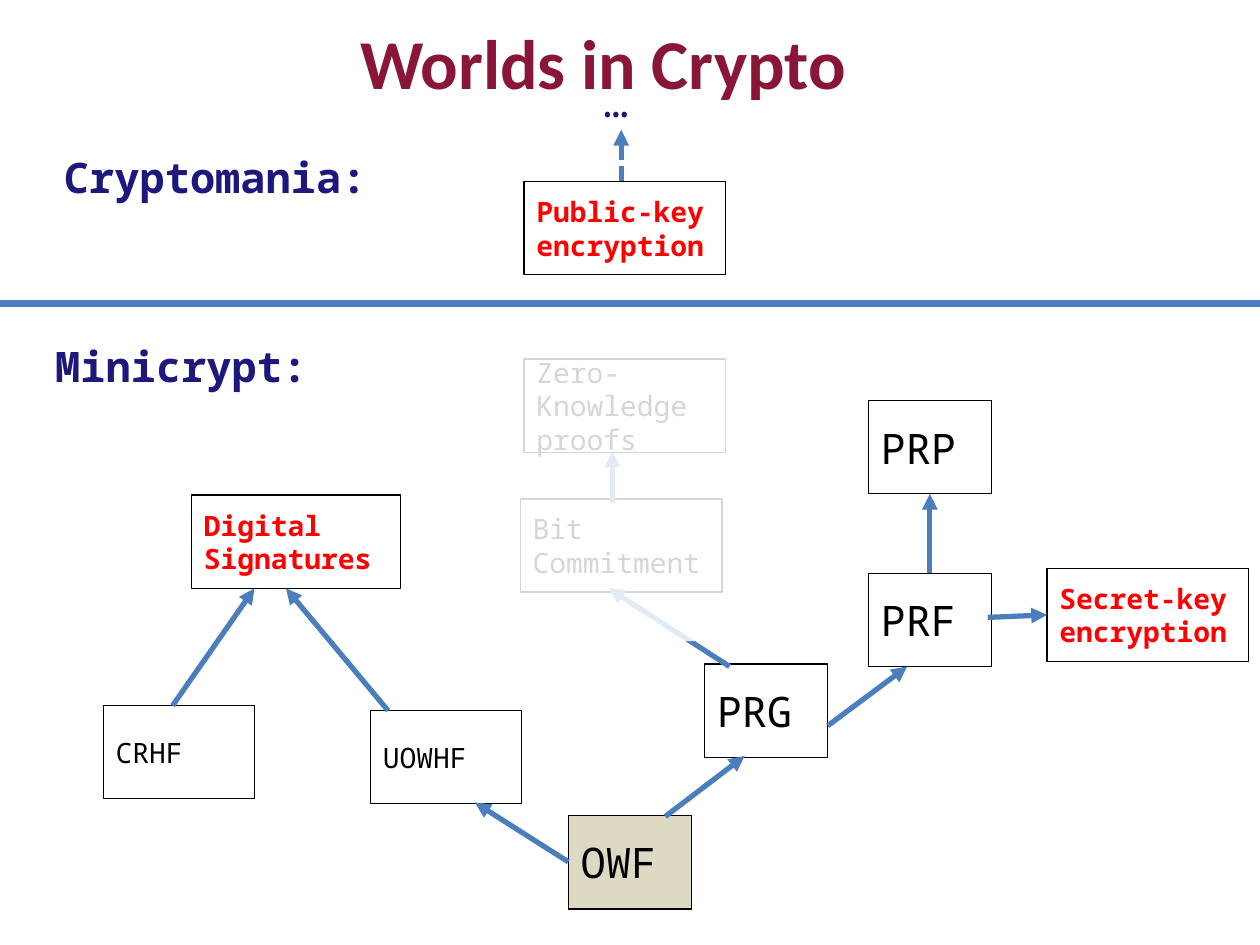
from lxml import etree
from pptx import Presentation
from pptx.dml.color import RGBColor
from pptx.enum.dml import MSO_LINE
from pptx.enum.shapes import MSO_CONNECTOR, MSO_SHAPE
from pptx.enum.text import MSO_ANCHOR, MSO_AUTO_SIZE, PP_ALIGN
from pptx.oxml.ns import qn
from pptx.util import Inches, Pt

RECTANGLE, STRAIGHT = MSO_SHAPE.RECTANGLE, MSO_CONNECTOR.STRAIGHT
MIDDLE, NO_FIT = MSO_ANCHOR.MIDDLE, MSO_AUTO_SIZE.NONE
LEFT, CENTER = PP_ALIGN.LEFT, PP_ALIGN.CENTER
SYSTEM_DASH = MSO_LINE.SQUARE_DOT
TOP_SIDE, LEFT_SIDE, BOTTOM_SIDE = 0, 1, 2

THEME = {
    "title": {"name": "Calibri", "size": Pt(40), "bold": True, "color": "891637"},
    "world": {"name": "Noto Sans Mono", "size": Pt(24), "bold": True, "color": "1E177C"},
    "dots": {"name": "Noto Sans Mono", "size": Pt(24), "bold": False, "color": "1E177C"},
    "basic": {"name": "Noto Sans Mono", "size": Pt(24), "bold": False, "color": "000000"},
    "derived": {"name": "Noto Sans Mono", "size": Pt(16), "bold": False, "color": "000000"},
    "goal": {"name": "Noto Sans Mono", "size": Pt(16), "bold": True, "color": "FF0000"},
    "arrow": RGBColor.from_string("4B7EBC"),
    "outline": RGBColor.from_string("000000"),
    "root": RGBColor.from_string("DDD9C3"),
    "veil": RGBColor.from_string("FFFFFF"),
}

deck = Presentation()
deck.slide_width, deck.slide_height = Inches(10), Inches(7.5)
COLUMN, ROW = deck.slide_width / 100, deck.slide_height / 75
page = deck.slides.add_slide(deck.slide_layouts[5])


def write(shape, words, style, align=LEFT):
    frame = shape.text_frame
    for key, value in {"word_wrap": True, "auto_size": NO_FIT,
                       "vertical_anchor": MIDDLE}.items():
        setattr(frame, key, value)
    para = frame.paragraphs[0]
    para.alignment = align
    span = para.add_run()
    span.text = words
    for key, value in THEME[style].items():
        if key == "color":
            span.font.color.rgb = RGBColor.from_string(value)
        else:
            setattr(span.font, key, value)


def draw_line(start, end, width):
    line = page.shapes.add_connector(
        STRAIGHT, round(start[0] * COLUMN), round(start[1] * ROW),
        round(end[0] * COLUMN), round(end[1] * ROW))
    line.line.color.rgb = THEME["arrow"]
    line.line.width = Pt(width)
    etree.SubElement(line._element.spPr, qn("a:effectLst"))
    return line


title = page.shapes.title
for key, value in {"left": 0.2 * COLUMN, "top": 0.5 * ROW,
                   "width": 95.3 * COLUMN, "height": 8.7 * ROW}.items():
    setattr(title, key, round(value))
write(title, "Worlds in Crypto", "title", CENTER)

labels = [
    ("…", "dots", 46.9, 5.2, 8.2),
    ("Cryptomania:", "world", 4.1, 11.3, 31.4),
    ("Minicrypt:", "world", 3.4, 26.3, 31.4),
]
for words, style, left, top, width in labels:
    label = page.shapes.add_textbox(round(left * COLUMN), round(top * ROW),
                                    round(width * COLUMN), round(5.5 * ROW))
    write(label, words, style)

primitives = [
    ("OWF", "basic", 45.1, 64.8, 9.8),
    ("OWF", "basic", 45.1, 64.7, 9.8),
    ("PRG", "basic", 55.9, 52.7, 9.8),
    ("PRF", "basic", 68.9, 45.5, 9.8),
    ("PRP", "basic", 68.9, 31.8, 9.8),
    ("UOWHF", "derived", 29.4, 56.4, 12),
    ("CRHF", "derived", 8.2, 56, 12),
    ("Bit Commitment", "derived", 41.3, 39.6, 16),
    ("Zero-Knowledge proofs", "derived", 41.6, 28.5, 16),
    ("Digital Signatures", "goal", 15.2, 39.3, 16.6),
    ("Secret-key encryption", "goal", 83.1, 45.1, 16),
    ("Public-key encryption", "goal", 41.6, 14.4, 16),
]
boxes = {}
for words, style, left, top, width in primitives:
    box = page.shapes.add_shape(RECTANGLE, round(left * COLUMN), round(top * ROW),
                                round(width * COLUMN), round(7.4 * ROW))
    box.shadow.inherit = False
    box.fill.background()
    box.line.color.rgb = THEME["outline"]
    box.line.width = Pt(0.75)
    write(box, words, style)
    boxes[words] = box
boxes["OWF"].fill.solid()
boxes["OWF"].fill.fore_color.rgb = THEME["root"]

arrows = [
    ((52.8, 64.8), (59.1, 60), None, None),
    ((45.1, 68.5), (37.7, 63.7), ("OWF", LEFT_SIDE), None),
    ((65.7, 57.6), (72, 52.9), None, None),
    ((73.8, 45.5), (73.8, 39.3), ("PRF", TOP_SIDE), ("PRP", BOTTOM_SIDE)),
    ((78.4, 49), (83.1, 48.8), None, ("Secret-key encryption", LEFT_SIDE)),
    ((30.8, 56.4), (22.7, 46.7), None, None),
    ((13.7, 56), (20.2, 46.7), None, None),
    ((57.9, 52.9), (48.3, 46.7), None, None),
    ((48.6, 39.9), (48.6, 35.8), None, None),
    ((49.3, 14.4), (49.3, 10.3), None, None),
]
for start, end, source, target in arrows:
    arrow = draw_line(start, end, 3)
    if source:
        arrow.begin_connect(boxes[source[0]], source[1])
    if target:
        arrow.end_connect(boxes[target[0]], target[1])
    if start[1] == 14.4:
        arrow.line.dash_style = SYSTEM_DASH
    etree.SubElement(arrow.line._get_or_add_ln(), qn("a:tailEnd"), type="triangle")

draw_line((0, 24.1), (100, 24.1), 4)

veil = page.shapes.add_shape(RECTANGLE, round(37.7 * COLUMN), round(26.3 * ROW),
                             round(27.3 * COLUMN), round(24.6 * ROW))
veil.shadow.inherit = False
veil.line.fill.background()
veil.fill.solid()
veil.fill.fore_color.rgb = THEME["veil"]
tint = veil._element.spPr.find(qn("a:solidFill")).find(qn("a:srgbClr"))
etree.SubElement(tint, qn("a:alpha"), val="84000")

deck.save("out.pptx")
